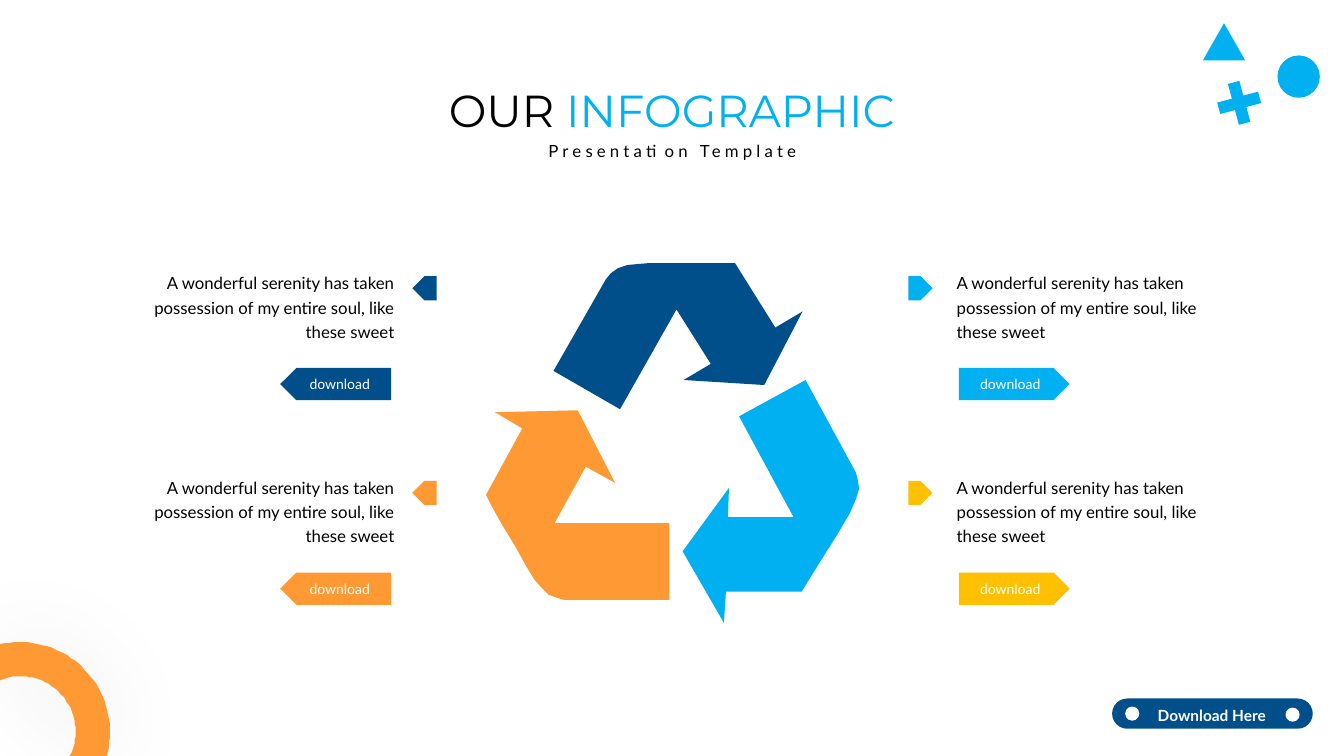
import math
from dataclasses import dataclass

from lxml import etree
from pptx import Presentation
from pptx import util as u
from pptx.dml.color import RGBColor
from pptx.enum import shapes, text
from pptx.oxml.ns import qn

PX = 9144  # 100 px to the inch
BLACK = RGBColor(0x00, 0x00, 0x00)
WHITE = RGBColor(0xFF, 0xFF, 0xFF)
NAVY = RGBColor(0x00, 0x4F, 0x8A)
SKY = RGBColor(0x00, 0xB0, 0xF0)
ORANGE = RGBColor(0xFF, 0x99, 0x33)
YELLOW = RGBColor(0xFF, 0xC0, 0x00)
LATO = "Lato"
MESSAGE = "A wonderful serenity has taken possession of my entire soul, like these sweet"
ROW_TOP, ROW_PITCH = 262, 203

Box = tuple[int, int, int, int]
Point = tuple[float, float]


@dataclass
class Side:
    text_left: int
    marker_left: int
    button_left: int
    align: text.PP_ALIGN
    flipped: bool
    colors: tuple[RGBColor, RGBColor]


@dataclass
class Outline:
    color: RGBColor
    points: list[Point]


@dataclass
class Mark:
    kind: shapes.MSO_SHAPE
    box: Box
    color: RGBColor
    rotation: int = 0


SIDES = [
    Side(142, 409, 278, text.PP_ALIGN.RIGHT, True, (NAVY, ORANGE)),
    Side(939, 901, 951, text.PP_ALIGN.LEFT, False, (SKY, YELLOW)),
]

CYCLE_ARROWS = [
    Outline(ORANGE, [
        (573, 407), (610, 479), (581, 463), (550, 519), (664, 519), (664, 595),
        (559, 595), (552, 593), (544, 590), (537, 583), (530, 575), (522, 562),
        (511, 542), (497, 519), (487, 501), (482, 491), (518, 425), (491, 409)]),
    Outline(NAVY, [
        (729, 261), (769, 325), (796, 309), (758, 382), (678, 377), (705, 361),
        (671, 307), (615, 406), (549, 368), (601, 277), (606, 271), (613, 266),
        (622, 263), (632, 262), (644, 261)]),
    Outline(SKY, [
        (799, 377), (849, 469), (851, 477), (852, 485), (849, 495), (843, 509),
        (830, 531), (813, 558), (795, 587), (720, 587), (718, 618), (677, 547),
        (723, 484), (722, 513), (787, 513), (733, 413)]),
]

MARKS = [
    Mark(shapes.MSO_SHAPE.OVAL, (1267, 55, 42, 42), SKY),
    Mark(shapes.MSO_SHAPE.ISOSCELES_TRIANGLE, (1193, 23, 42, 37), SKY),
    Mark(shapes.MSO_SHAPE.CROSS, (1208, 81, 42, 42), SKY, 345),
    Mark(shapes.MSO_SHAPE.ROUNDED_RECTANGLE, (1103, 693, 199, 30), NAVY),
    Mark(shapes.MSO_SHAPE.OVAL, (1116, 701, 14, 14), WHITE),
    Mark(shapes.MSO_SHAPE.OVAL, (1275, 702, 14, 14), WHITE),
]


def paint(shape, color: RGBColor) -> None:
    shape.shadow.inherit = False
    shape.fill.solid()
    shape.fill.fore_color.rgb = color
    shape.line.fill.background()


def add_preset(slide, kind: shapes.MSO_SHAPE, box: Box, color: RGBColor):
    shape = slide.shapes.add_shape(kind, *(side * PX for side in box))
    paint(shape, color)
    return shape


def add_outline(slide, outline: Outline):
    start, *rest = outline.points
    builder = slide.shapes.build_freeform(*start, scale=PX)
    builder.add_line_segments(rest, close=True)
    shape = builder.convert_to_shape()
    paint(shape, outline.color)
    return shape


def format_runs(paragraph, size: int, font: str, color: RGBColor, bold: bool = False) -> None:
    for run in paragraph.runs:
        run.font.size = u.Pt(size)
        run.font.name = font
        run.font.bold = bold
        run.font.color.rgb = color


def add_text(slide, box: Box, words: str, size: int, align: text.PP_ALIGN,
             font: str = LATO, spacing: float = 1.2,
             color: RGBColor = BLACK, bold: bool = False):
    frame = slide.shapes.add_textbox(*(side * PX for side in box)).text_frame
    frame.word_wrap = True
    frame.auto_size = text.MSO_AUTO_SIZE.SHAPE_TO_FIT_TEXT
    frame.text = words
    paragraph = frame.paragraphs[0]
    paragraph.alignment = align
    paragraph.line_spacing = spacing
    format_runs(paragraph, size, font, color, bold)
    return paragraph


def add_tag(slide, box: Box, color: RGBColor, flipped: bool):
    """Pentagon that points right, or left when flipped."""
    tag = add_preset(slide, shapes.MSO_SHAPE.PENTAGON, box, color)
    if flipped:
        tag.element.spPr.find(qn("a:xfrm")).set("flipH", "1")
    return tag


def add_callout(slide, side: Side, row: int) -> None:
    top = ROW_TOP + row * ROW_PITCH
    color = side.colors[row]
    add_text(slide, (side.text_left, top, 259, 81), MESSAGE, 12, side.align)
    add_tag(slide, (side.marker_left, top + 12, 24, 24), color, side.flipped)
    button = add_tag(slide, (side.button_left, top + 103, 110, 32), color, side.flipped)
    button.text_frame.text = "download"
    button.text_frame.vertical_anchor = text.MSO_ANCHOR.MIDDLE
    label = button.text_frame.paragraphs[0]
    label.alignment = text.PP_ALIGN.CENTER
    format_runs(label, 10, LATO, WHITE)


def arc(radius: int) -> list[Point]:
    """Part of a corner circle that lies on the slide, from left to bottom edge."""
    center_x, center_y, bottom = 20, 726, 750
    first = -math.pi + math.acos(center_x / radius)
    last = math.asin((bottom - center_y) / radius)
    angles = [first + (last - first) * step / 40 for step in range(41)]
    return [(center_x + radius * math.cos(a), center_y + radius * math.sin(a))
            for a in angles]


def add_corner_ring(slide) -> None:
    ring = add_outline(slide, Outline(ORANGE, arc(89) + arc(55)[::-1]))
    effects = ring.element.spPr.find(qn("a:effectLst"))
    shadow = etree.SubElement(effects, qn("a:outerShdw"), blurRad=str(u.Pt(65)),
                              dist="0", dir="0", algn="ctr", rotWithShape="0")
    tint = etree.SubElement(shadow, qn("a:srgbClr"), val=str(BLACK))
    etree.SubElement(tint, qn("a:alpha"), val="7000")


def add_heading(slide) -> None:
    center = text.PP_ALIGN.CENTER
    title = add_text(slide, (378, 77, 577, 64), "OUR ", 32, center, "Montserrat", 1.0)
    title.add_run().text = "INFOGRAPHIC"
    format_runs(title, 32, "Montserrat", BLACK)
    title.runs[1].font.color.rgb = SKY
    subtitle = add_text(slide, (503, 131, 328, 32), "Presentation Template", 12, center)
    subtitle.runs[0].font._element.set("spc", "300")


def main() -> None:
    presentation = Presentation()
    presentation.slide_width = u.Inches(13.33)
    presentation.slide_height = u.Inches(7.5)
    slide = presentation.slides.add_slide(presentation.slide_layouts[6])
    for arrow in CYCLE_ARROWS:
        add_outline(slide, arrow)
    for side in SIDES:
        for row in range(len(side.colors)):
            add_callout(slide, side, row)
    add_heading(slide)
    add_corner_ring(slide)
    for mark in MARKS:
        shape = add_preset(slide, mark.kind, mark.box, mark.color)
        shape.rotation = mark.rotation
        if mark.kind == shapes.MSO_SHAPE.CROSS:
            shape.adjustments[0] = 0.36
        elif mark.kind == shapes.MSO_SHAPE.ROUNDED_RECTANGLE:
            shape.adjustments[0] = 0.5
    add_text(slide, (1130, 692, 144, 30), "Download Here", 11,
             text.PP_ALIGN.CENTER, color=WHITE, bold=True)
    presentation.save("out.pptx")


if __name__ == "__main__":
    main()
